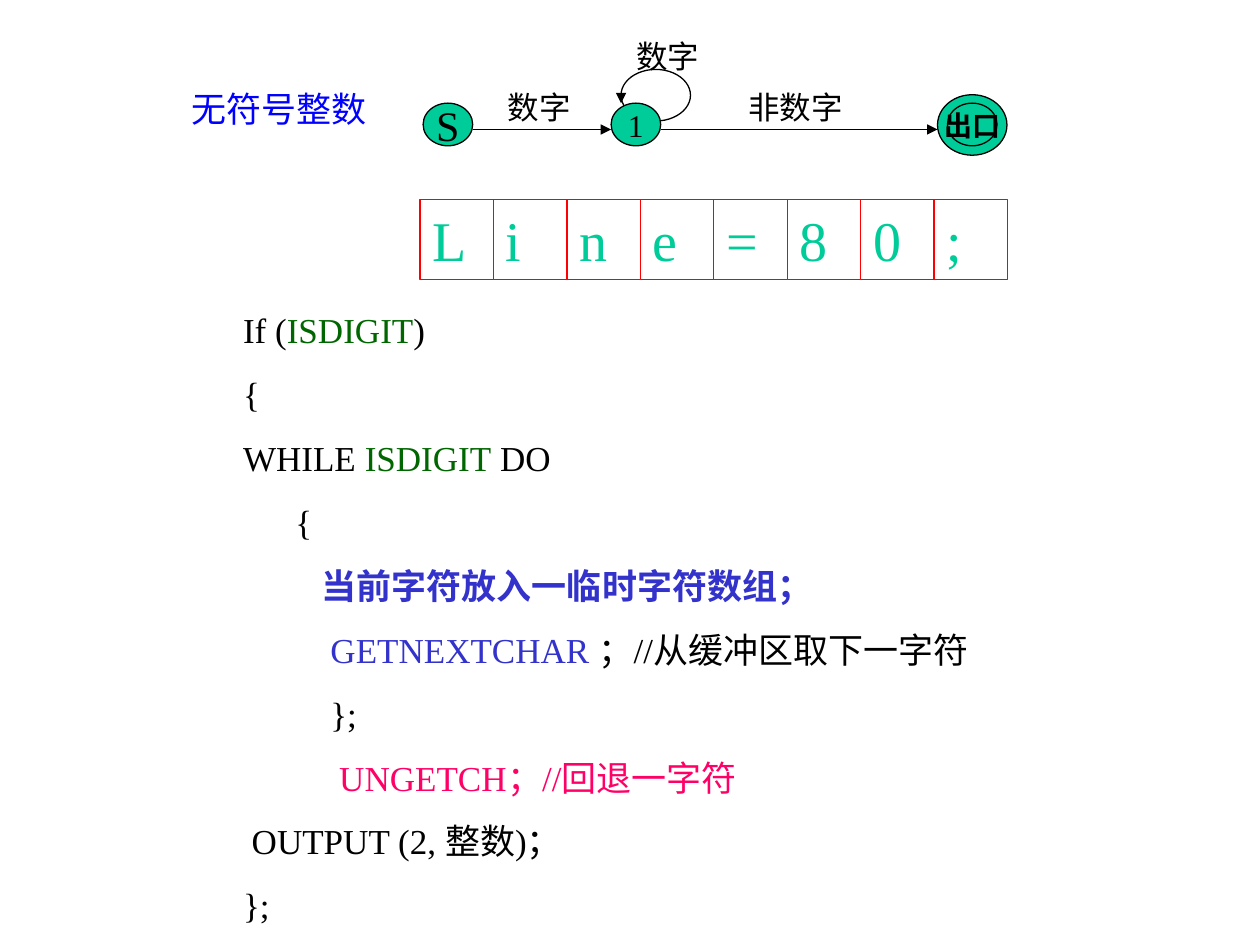
from lxml import etree
from pptx import Presentation
from pptx.dml.color import RGBColor
from pptx.enum.shapes import MSO_CONNECTOR, MSO_SHAPE
from pptx.enum.text import MSO_ANCHOR, MSO_AUTO_SIZE, PP_ALIGN
from pptx.oxml.ns import qn
from pptx.util import Cm, Pt

FONT = "Times New Roman"
COLORS = {
    "black": "000000", "white": "FFFFFF", "red": "FF0000", "teal": "00CC99",
    "title": "0000FF", "green": "006600", "blue": "3333CC", "pink": "FF0066",
}


def color(name):
    return RGBColor.from_string(COLORS[name])


def write(shape, text, size, name="black", bold=False, align=PP_ALIGN.CENTER,
          anchor=MSO_ANCHOR.MIDDLE, wrap=False):
    frame = shape.text_frame
    frame.auto_size = MSO_AUTO_SIZE.NONE
    frame.word_wrap = wrap
    frame.vertical_anchor = anchor
    paragraph = frame.paragraphs[0]
    paragraph.text = text
    paragraph.alignment = align
    paragraph.font.name = FONT
    paragraph.font.size = Pt(size)
    paragraph.font.bold = bold
    paragraph.font.color.rgb = color(name)


presentation = Presentation()
presentation.slide_width = Cm(25.4)
presentation.slide_height = Cm(19.05)
slide = presentation.slides.add_slide(presentation.slide_layouts[5])
shapes = slide.shapes

title = shapes.title
title.left, title.top, title.width, title.height = Cm(3.61), Cm(1.63), Cm(4.04), Cm(1.12)
write(title, "无符号整数", 20, "title")
title.text_frame.margin_left = title.text_frame.margin_right = Cm(0.1)

states = [
    (12.52, 1.4, 1.4, 1.04, None, "", 18, False),
    (18.9, 1.91, 1.4, 1.22, "teal", "出口", 16, True),
    (8.53, 2.08, 1.0, 0.86, "teal", "S", 24, False),
    (12.32, 2.08, 1.0, 0.86, "teal", "1", 18, False),
    (19.1, 2.08, 1.0, 0.86, None, "", 18, False),
]
for left, top, width, height, fill, text, size, bold in states:
    state = shapes.add_shape(MSO_SHAPE.OVAL, Cm(left), Cm(top), Cm(width), Cm(height))
    state.shadow.inherit = False
    state.line.color.rgb = color("black")
    state.line.width = Pt(0.75)
    if fill:
        state.fill.solid()
        state.fill.fore_color.rgb = color(fill)
        write(state, text, size, bold=bold)
    else:
        state.fill.background()

arrows = [
    (9.53, 2.61, 12.32, 2.61),
    (13.32, 2.61, 18.9, 2.61),
    (12.52, 1.91, 12.52, 2.08),
]
for ends in arrows:
    arrow = shapes.add_connector(MSO_CONNECTOR.STRAIGHT, *[Cm(end) for end in ends])
    arrow.line.color.rgb = color("black")
    arrow.line.width = Pt(0.75)
    etree.SubElement(arrow.line._get_or_add_ln(), qn("a:tailEnd"), type="triangle")
    etree.SubElement(arrow._element.spPr, qn("a:effectLst"))

labels = [
    (14.83, 1.65, 2.41, "非数字"),
    (9.98, 1.65, 1.78, "数字"),
    (12.57, 0.61, 1.78, "数字"),
]
for left, top, width, text in labels:
    label = shapes.add_textbox(Cm(left), Cm(top), Cm(width), Cm(1.02))
    write(label, text, 18)

cell_width = 1.48
for column, character in enumerate("Line=80;"):
    cell = shapes.add_shape(MSO_SHAPE.RECTANGLE, Cm(8.47 + column * cell_width), Cm(4.02),
                            Cm(cell_width), Cm(1.62))
    cell.shadow.inherit = False
    cell.fill.solid()
    cell.fill.fore_color.rgb = color("white")
    cell.line.color.rgb = color("red")
    cell.line.width = Pt(0.75)
    write(cell, character, 32, "teal", align=PP_ALIGN.LEFT, anchor=MSO_ANCHOR.TOP, wrap=True)

code_lines = [
    [("If (", "black"), ("ISDIGIT", "green"), (")", "black")],
    [("{", "black")],
    [("WHILE ", "black"), ("ISDIGIT", "green"), (" DO", "black")],
    [("      {", "black")],
    [("          ", "black"), ("当前字符放入一临时字符数组；", "blue")],
    [("          GETNEXTCHAR ", "blue"), ("；//从缓冲区取下一字符", "black")],
    [("          };", "black")],
    [("           UNGETCH；//回退一字符", "pink")],
    [(" OUTPUT (2, 整数)；", "black")],
    [("};", "black")],
]
code = shapes.add_textbox(Cm(4.65), Cm(6.1), Cm(15.88), Cm(12.7))
code.text_frame.word_wrap = True
for number, parts in enumerate(code_lines):
    paragraph = code.text_frame.add_paragraph() if number else code.text_frame.paragraphs[0]
    if number:
        paragraph.space_before = Pt(12.5)
    paragraph.font.name = FONT
    paragraph.font.size = Pt(20)
    for text, name in parts:
        run = paragraph.add_run()
        run.text = text
        run.font.color.rgb = color(name)
        if "当前" in text:
            run.font.bold = True

presentation.save("out.pptx")
